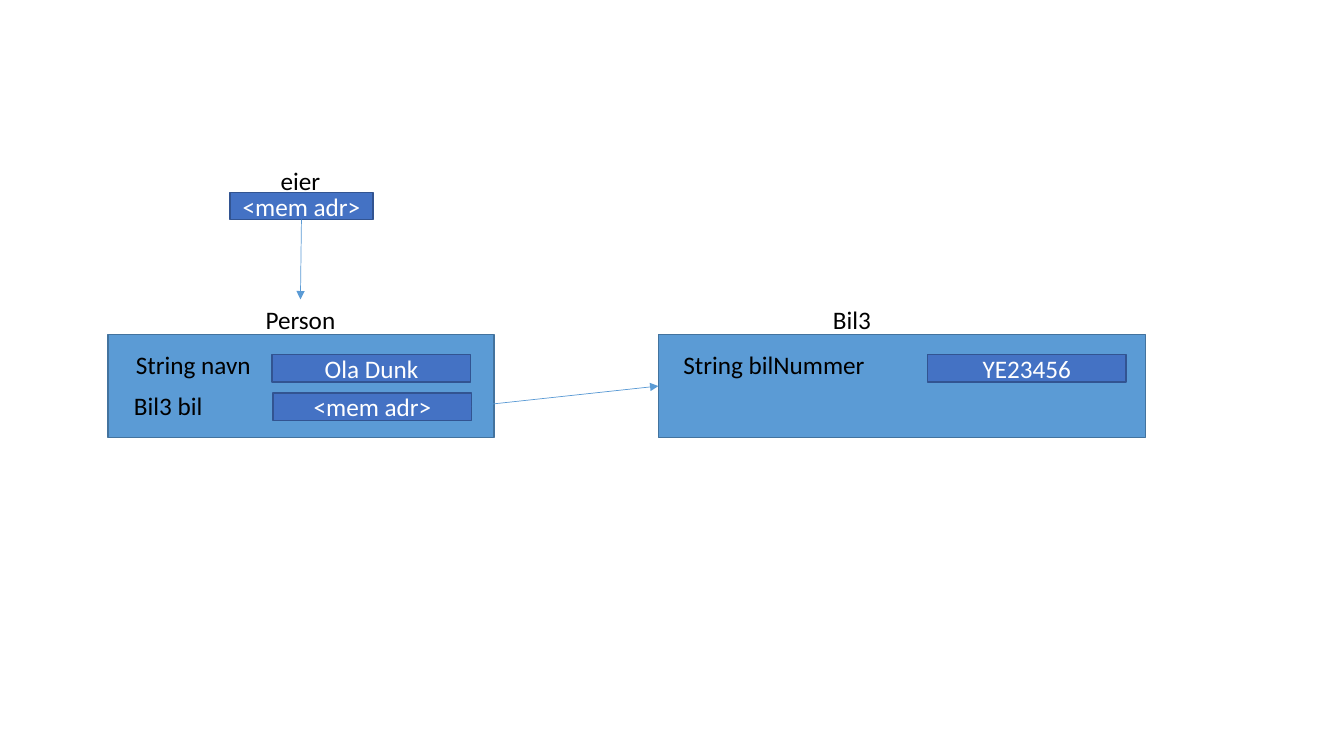
from lxml import etree
from pptx import Presentation
from pptx.dml.color import RGBColor
from pptx.enum.shapes import MSO_CONNECTOR, MSO_SHAPE
from pptx.enum.text import MSO_ANCHOR, PP_ALIGN
from pptx.oxml.ns import qn
from pptx.util import Inches, Pt

RECT = MSO_SHAPE.RECTANGLE
LINE = MSO_CONNECTOR.STRAIGHT
MIDDLE = MSO_ANCHOR.MIDDLE
LEFT, CENTER = PP_ALIGN.LEFT, PP_ALIGN.CENTER

COLORS = {"object": "5B9BD5", "object edge": "43739E", "value": "4472C4",
          "value edge": "325491", "light": "FFFFFF", "dark": "000000"}
FONT, SIZE = "Calibri", 18

# The variable that refers to the first object: name, value, box left, top, width
OWNER = ("eier", "<mem adr>", 2.28, 1.91, 1.42)

# Fields: (name, left, width), (value, left)
OBJECTS = [
    {"class": "Person", "title": 2.53, "left": 1.07, "width": 3.83,
     "fields": [(("String navn", 1.25, 1.66), ("Ola Dunk", 2.7)),
                (("Bil3 bil", 1.23, 1.66), ("<mem adr>", 2.71))]},
    {"class": "Bil3", "title": 8, "left": 6.53, "width": 4.83,
     "fields": [(("String bilNummer", 6.68, 2.03), ("YE23456", 9.2))]},
]
ARROWS = [((2.99, 2.18), (2.98, 2.97)), ((4.68, 4.03), (6.53, 3.83))]

TOP, HEIGHT = 3.32, 1.02            # object boxes
TITLE_W, TEXT_H = 0.9, 0.4
VALUE_W, VALUE_H = 1.97, 0.27
NAME_TOP, NAME_STEP = TOP + 0.1, 0.4
VALUE_TOP, VALUE_STEP = TOP + 0.2, 0.38


def rgb(name):
    """Return the named colour."""
    return RGBColor.from_string(COLORS[name])


def write(shape, text, color, align):
    """Put one styled line of text in a shape."""
    para = shape.text_frame.paragraphs[0]
    para.text, para.alignment = text, align
    para.font.name, para.font.size = FONT, Pt(SIZE)
    para.font.color.rgb = rgb(color)


def box(kind, left, top, width, height, text=""):
    """Draw a filled rectangle, with centred text if given."""
    shape = slide.shapes.add_shape(
        RECT, *map(Inches, (left, top, width, height)))
    shape.shadow.inherit = False
    shape.fill.solid()
    shape.fill.fore_color.rgb = rgb(kind)
    shape.line.color.rgb = rgb(kind + " edge")
    shape.line.width = Pt(1)
    if text:
        shape.text_frame.vertical_anchor = MIDDLE
        write(shape, text, "light", CENTER)


def label(text, left, top, width, align=LEFT):
    """Write a dark label; centred ones use the full width."""
    shape = slide.shapes.add_textbox(
        *map(Inches, (left, top, width, TEXT_H)))
    frame = shape.text_frame
    frame.word_wrap = True
    if align == CENTER:
        frame.margin_left = frame.margin_right = 0
    write(shape, text, "dark", align)


def arrow(start, end):
    """Draw a thin arrow between two points."""
    link = slide.shapes.add_connector(LINE, *map(Inches, start + end))
    link.line.color.rgb = rgb("object")
    link.line.width = Pt(0.5)
    props = link.line._get_or_add_ln()
    etree.SubElement(props, qn("a:tailEnd"), type="triangle")
    etree.SubElement(link._element.spPr, qn("a:effectLst"))


deck = Presentation()
deck.slide_width, deck.slide_height = Inches(13.33), Inches(7.5)
slide = deck.slides.add_slide(deck.slide_layouts[6])

name, value, left, top, width = OWNER
box("value", left, top, width, VALUE_H, value)
label(name, OBJECTS[0]["title"], top - 0.32, TITLE_W, CENTER)

for item in OBJECTS:
    box("object", item["left"], TOP, item["width"], HEIGHT)
    label(item["class"], item["title"], TOP - 0.35, TITLE_W, CENTER)
    for row, (field, (value, left)) in enumerate(item["fields"]):
        name, start, width = field
        label(name, start, NAME_TOP + row * NAME_STEP, width)
        box("value", left, VALUE_TOP + row * VALUE_STEP,
            VALUE_W, VALUE_H, value)

for start, end in ARROWS:
    arrow(start, end)

deck.save("out.pptx")
